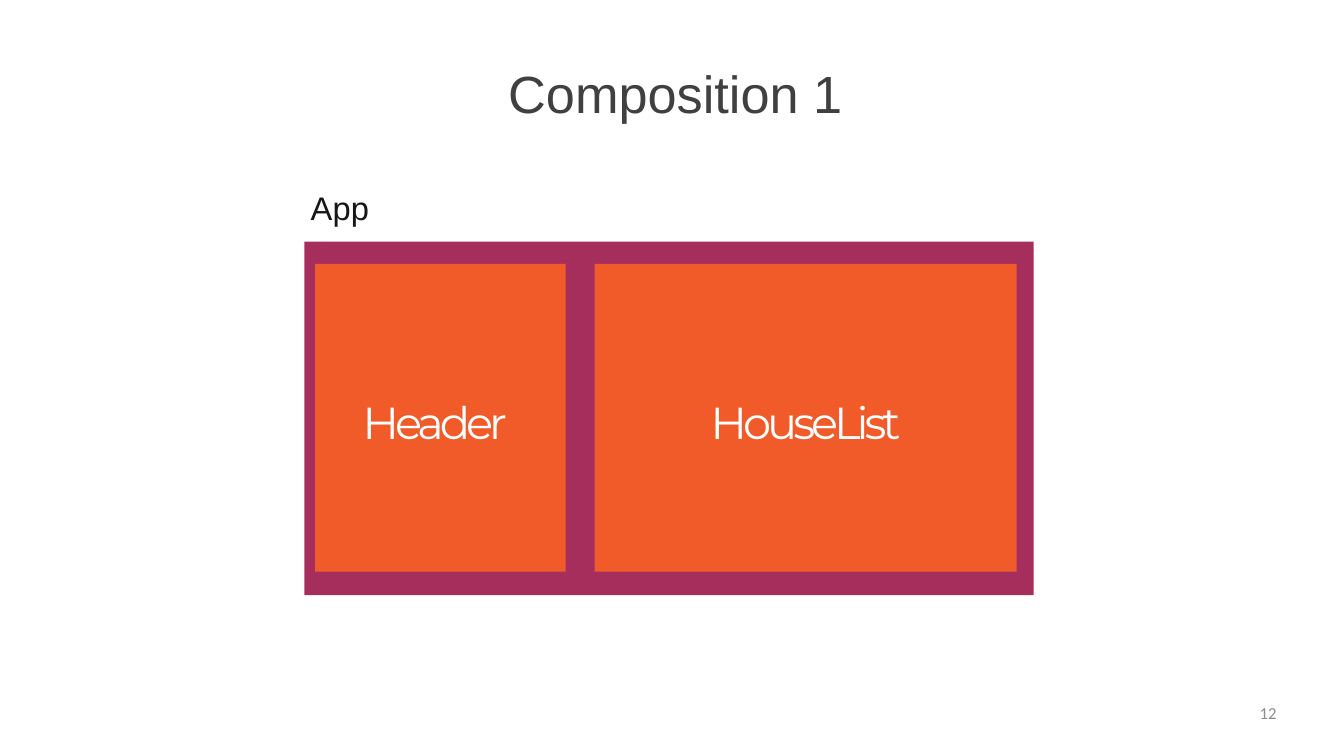
from dataclasses import dataclass

from pptx import Presentation
from pptx import util as u
from pptx.dml.color import RGBColor
from pptx.enum import shapes, text


@dataclass(frozen=True)
class Style:
    font: str
    size: float
    color: str
    spacing: float = 0


@dataclass(frozen=True)
class Theme:
    frame: str = "A62E5C"
    component: str = "F15B2A"
    title: Style = Style("Arial", 56, "404040")
    label: Style = Style("Arial", 35, "171717", 0.2)
    component_name: Style = Style("Montserrat", 48, "FFFFFF", -4.3)
    number: Style = Style("Calibri", 18, "8C8C8C")


@dataclass(frozen=True)
class Area:
    left: float
    top: float
    width: float
    height: float

    def lengths(self) -> tuple:
        return tuple(u.Cm(n) for n in (self.left, self.top, self.width, self.height))


@dataclass(frozen=True)
class Component:
    name: str
    left: float
    width: float
    align: text.PP_ALIGN
    indent: float = 0


THEME = Theme()
FRAME = Area(11.51, 9.14, 27.56, 13.36)
COMPONENT_TOP, COMPONENT_HEIGHT = 9.98, 11.63
COMPONENTS = (
    Component("Header", 11.91, 9.47, text.PP_ALIGN.LEFT, 1.8),
    Component("HouseList", 22.48, 15.95, text.PP_ALIGN.CENTER),
)


def write(box, words: str, style: Style, align=text.PP_ALIGN.LEFT,
          anchor=text.MSO_ANCHOR.TOP, left: float = 0, top: float = 0) -> None:
    frame = box.text_frame
    frame.word_wrap = True
    frame.auto_size = text.MSO_AUTO_SIZE.NONE
    frame.vertical_anchor = anchor
    frame.margin_left, frame.margin_top = u.Cm(left), u.Cm(top)
    frame.margin_right = frame.margin_bottom = 0
    para = frame.paragraphs[0]
    para.alignment = align
    span = para.add_run()
    span.text = words
    para.font.name = style.font
    para.font.size = u.Pt(style.size)
    para.font.color.rgb = RGBColor.from_string(style.color)
    if style.spacing:
        span._r.get_or_add_rPr().set("spc", str(round(style.spacing * 100)))


def draw_block(page, area: Area, color: str):
    block = page.shapes.add_shape(shapes.MSO_SHAPE.RECTANGLE, *area.lengths())
    block.shadow.inherit = False
    block.fill.solid()
    block.fill.fore_color.rgb = RGBColor.from_string(color)
    block.line.fill.background()
    return block


def draw_component(page, part: Component) -> None:
    area = Area(part.left, COMPONENT_TOP, part.width, COMPONENT_HEIGHT)
    block = draw_block(page, area, THEME.component)
    write(block, part.name, THEME.component_name, part.align,
          text.MSO_ANCHOR.MIDDLE, left=part.indent, top=0.3)


def main() -> None:
    deck = Presentation()
    deck.slide_width, deck.slide_height = u.Cm(50.8), u.Cm(28.58)
    page = deck.slides.add_slide(deck.slide_layouts[5])

    title = page.shapes.title
    title.left, title.top, title.width, title.height = Area(14.94, 2.08, 20.93, 2.44).lengths()
    write(title, "Composition 1", THEME.title, left=4.27, top=0.23)

    draw_block(page, FRAME, THEME.frame)
    for part in COMPONENTS:
        draw_component(page, part)

    label = page.shapes.add_textbox(*Area(11.71, 6.93, 2.34, 1.55).lengths())
    write(label, "App", THEME.label, left=0.03, top=0.17)
    number = page.shapes.add_textbox(*Area(36.58, 26.57, 11.68, 1.42).lengths())
    write(number, "12", THEME.number, text.PP_ALIGN.RIGHT)

    deck.save("out.pptx")


if __name__ == "__main__":
    main()
